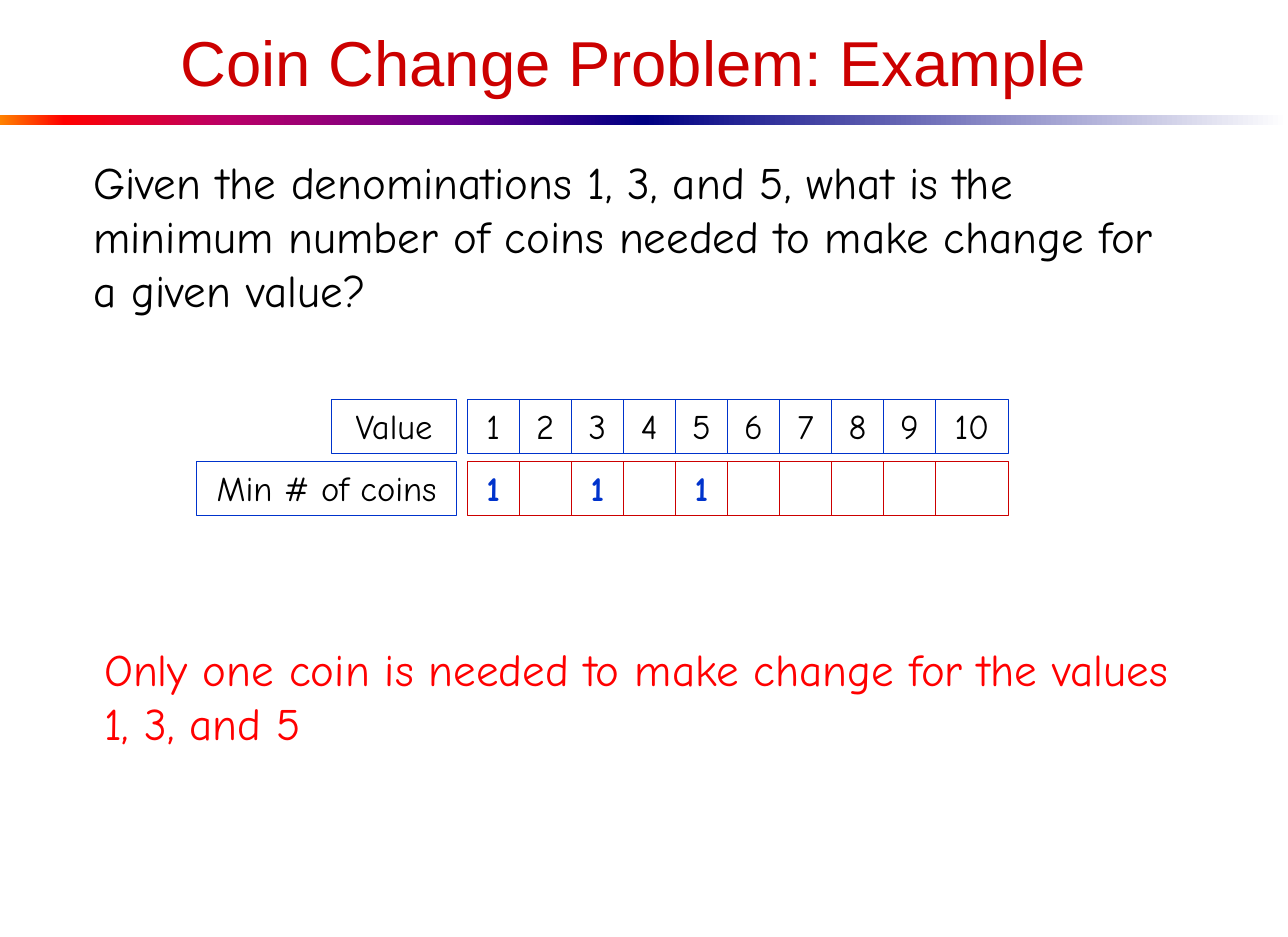
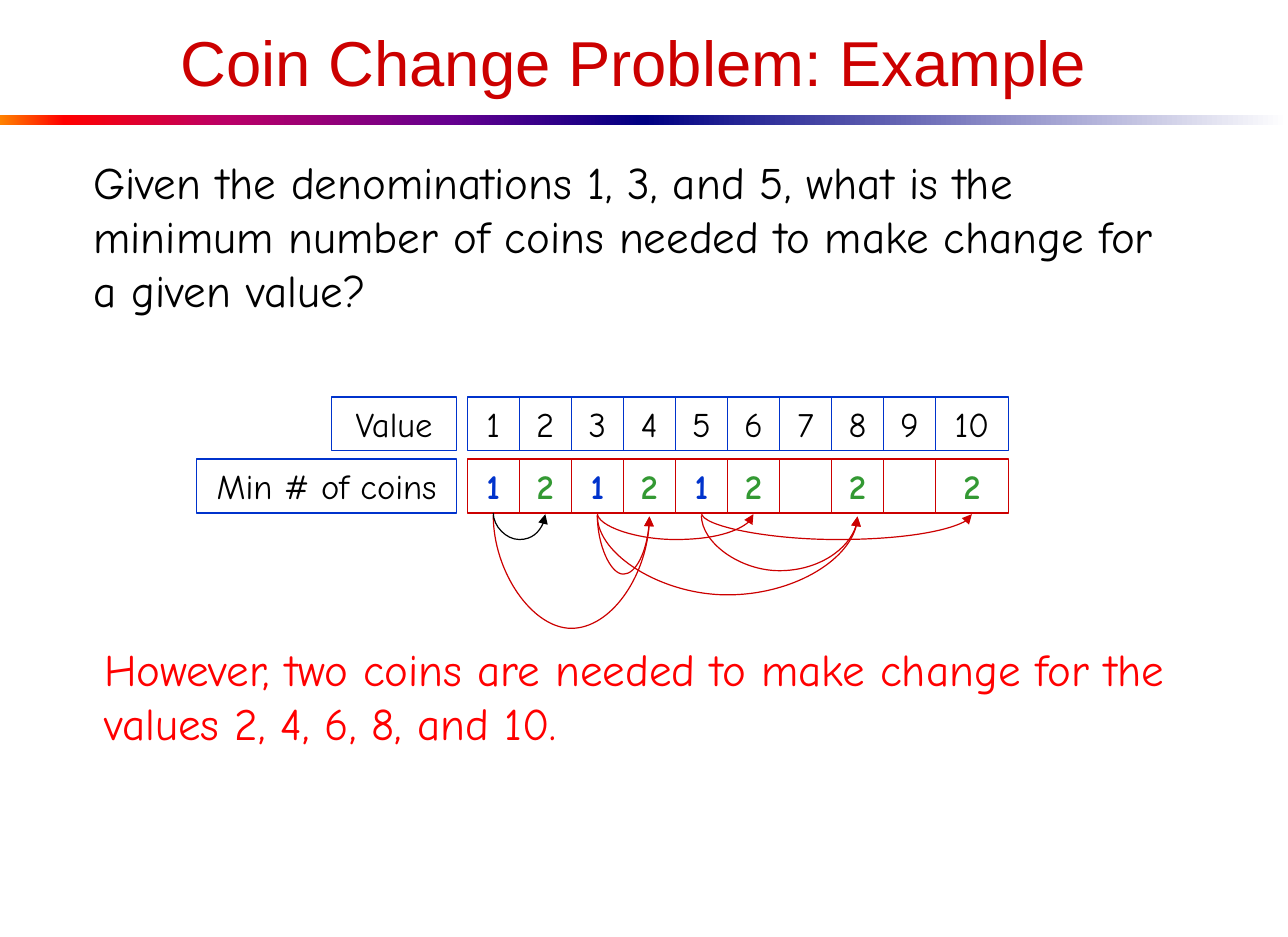
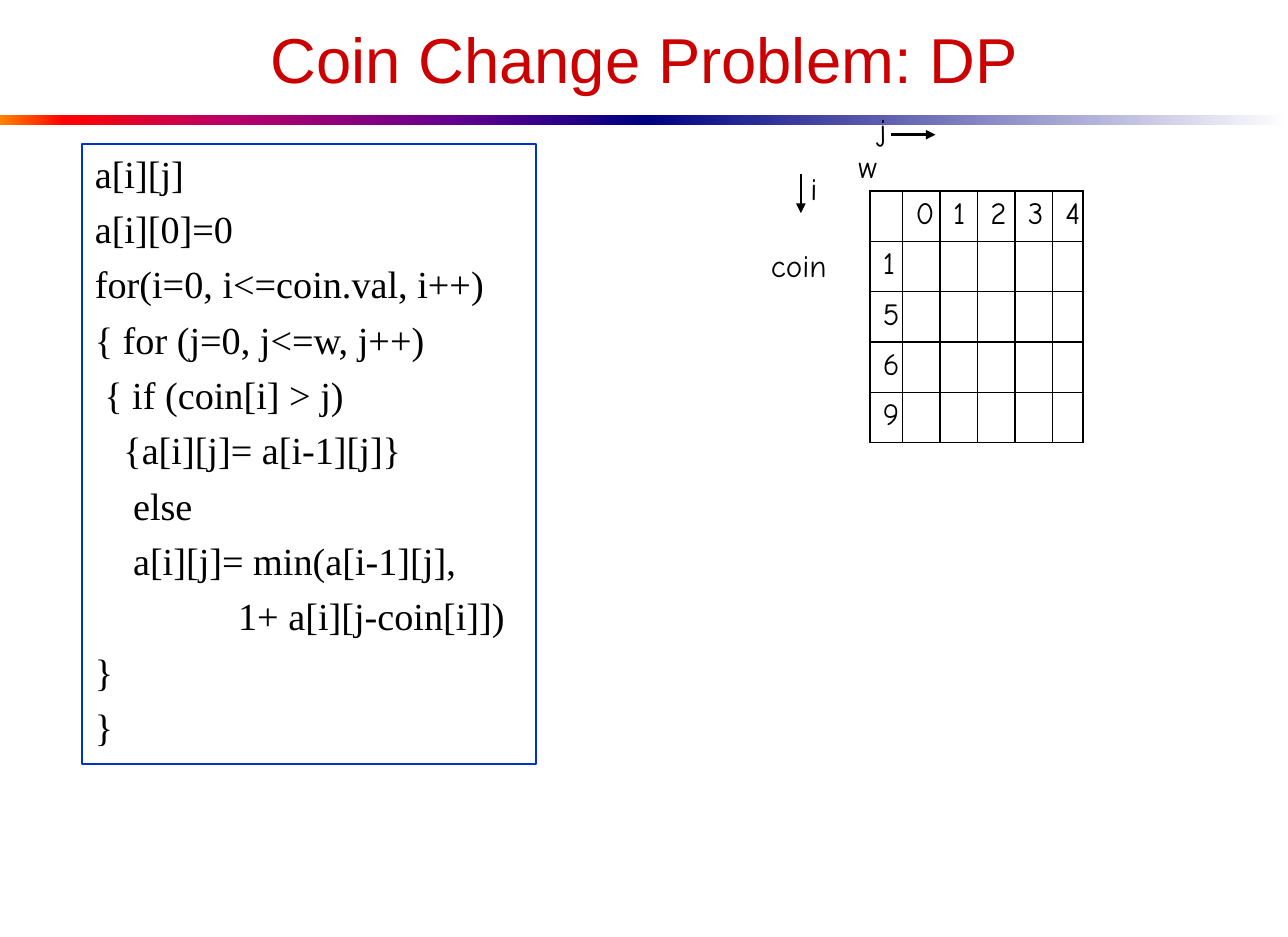
from lxml.etree import SubElement
from pptx import Presentation
from pptx.dml.color import RGBColor
from pptx.enum.shapes import MSO_CONNECTOR, MSO_SHAPE
from pptx.enum.text import MSO_ANCHOR, MSO_AUTO_SIZE, PP_ALIGN
from pptx.oxml.ns import qn
from pptx.util import Inches, Pt

BLACK, BLUE, GREEN = "000000", "0033CC", "339933"
DARK_RED, RED = "CC0000", "FF0000"
HAND_FONT, TITLE_FONT, CODE_FONT = "Comic Neue", "Arial", "Times New Roman"

BANDS = [
    (0, [(0, "FF8200"), (10, "FF0000"), (35, "BA0066"), (70, "66008F"), (100, "000082")]),
    (5.5, [(0, "000082"), (100, "FFFFFF")]),
]
QUESTION = ("Given the denominations 1, 3, and 5, what is the minimum number of coins "
            "needed to make change for a given value?")
ONE_COIN = {value: ("1", BLUE) for value in (1, 3, 5)}
TWO_COINS = {value: ("2", GREEN) for value in (2, 4, 6, 8, 10)}

# Grid of values 1 to 10: the first nine columns share one width.
GRID_LEFT, LABEL_RIGHT = 3.99, 3.9
DIGIT_WIDTH, TEN_WIDTH = 4 / 9, 0.62
CELL_HEIGHT, ROW_PITCH = 0.46, 0.53

# From value, to value, start height, depth, colour.
ARCS = [
    (1, 4, 4.4, 0.98, DARK_RED),
    (3, 4, 4.4, 0.51, DARK_RED),
    (3, 6, 4.38, 0.23, DARK_RED),
    (5, 8, 4.4, 0.48, DARK_RED),
    (3, 8, 4.4, 0.69, DARK_RED),
    (5, 10, 4.38, 0.23, DARK_RED),
    (1, 2, 4.38, 0.23, BLACK),
]
ARC_DROP = 0.01

CODE = """a[i][j]
a[i][0]=0
for(i=0, i<=coin.val, i++)
{ for (j=0, j<=w, j++)
 { if (coin[i] > j)
   {a[i][j]= a[i-1][j]}
    else
    a[i][j]= min(a[i-1][j],
               1+ a[i][j-coin[i]])
}
}"""
DP_COLUMNS = [0.28, 0.32, 0.32, 0.32, 0.32, 0.24]
DP_ROW_HEIGHT = 0.43
DP_ROWS = [["", "0", "1", "2", "3", "4"]] + [[coin] + [""] * 5 for coin in "1569"]


def rgb(color):
    return RGBColor.from_string(color)


def write_text(frame, text, size=21.3, font=HAND_FONT, color=BLACK, bold=False,
               align=PP_ALIGN.LEFT, anchor=MSO_ANCHOR.TOP, space_before=0, margin=0.1):
    """Fill a text frame with one paragraph per line of text."""
    frame.word_wrap = True
    frame.auto_size = MSO_AUTO_SIZE.NONE
    frame.vertical_anchor = anchor
    frame.margin_left = frame.margin_right = Inches(margin)
    frame.margin_top = frame.margin_bottom = Inches(0.05)
    for index, line in enumerate(text.split("\n")):
        paragraph = frame.add_paragraph() if index else frame.paragraphs[0]
        paragraph.alignment = align
        if index:
            paragraph.space_before = Pt(space_before)
        run = paragraph.add_run()
        run.text = line
        run.font.size = Pt(size)
        run.font.name = font
        run.font.bold = bold
        run.font.color.rgb = rgb(color)


def add_text(slide, left, top, width, height, text, **style):
    box = slide.shapes.add_textbox(Inches(left), Inches(top), Inches(width), Inches(height))
    write_text(box.text_frame, text, **style)
    return box


def add_cell(slide, left, top, width, text="", border=BLUE, **style):
    cell = slide.shapes.add_shape(MSO_SHAPE.RECTANGLE, Inches(left), Inches(top),
                                  Inches(width), Inches(CELL_HEIGHT))
    cell.shadow.inherit = False
    cell.fill.background()
    cell.line.color.rgb = rgb(border)
    cell.line.width = Pt(0.75)
    if text:
        write_text(cell.text_frame, text, align=PP_ALIGN.CENTER, **style)


def add_arrow(slide, kind, start, end, color=BLACK, width=1.5):
    arrow = slide.shapes.add_connector(kind, *(Inches(value) for value in start + end))
    arrow.line.color.rgb = rgb(color)
    arrow.line.width = Pt(width)
    properties = arrow.element.spPr
    SubElement(properties.find(qn("a:ln")), qn("a:tailEnd"), type="triangle")
    SubElement(properties, qn("a:effectLst"))
    return arrow


def value_left(value):
    return GRID_LEFT + (value - 1) * DIGIT_WIDTH


def value_center(value):
    return value_left(value) + (TEN_WIDTH if value == 10 else DIGIT_WIDTH) / 2


def add_arc(slide, source, target, top, depth, color):
    """Hang a curved arrow below the grid, from one value to a larger one."""
    left, right = value_center(source), value_center(target)
    span, middle = right - left, (left + right) / 2
    arc = add_arrow(slide, MSO_CONNECTOR.CURVE, (left, top), (right, top + ARC_DROP), color, 0.75)
    # The connector lies on its side: its width is the drop, its height the span.
    arc.left, arc.top = Inches(middle - ARC_DROP / 2), Inches(top + ARC_DROP / 2 - span / 2)
    arc.width, arc.height = Inches(ARC_DROP), Inches(span)
    properties = arc.element.spPr
    frame = properties.find(qn("a:xfrm"))
    frame.set("rot", "16200000")
    frame.set("flipH", "1")
    adjustments = properties.find(qn("a:prstGeom")).get_or_add_avLst()
    SubElement(adjustments, qn("a:gd"), name="adj1",
               fmla=f"val {round(depth / ARC_DROP * 100000)}")


def add_bands(slide):
    """Put the two gradient bands on the slide's layout, behind its placeholders."""
    for left, stops in BANDS:
        band = slide.shapes.add_shape(MSO_SHAPE.RECTANGLE, Inches(left), Inches(0.98),
                                      Inches(5.5), Inches(0.09))
        band.shadow.inherit = False
        band.line.fill.background()
        band.fill.gradient()
        band.fill.gradient_angle = 0
        stop_list = band.element.spPr.find(qn("a:gradFill")).find(qn("a:gsLst"))
        for stop in list(stop_list):
            stop_list.remove(stop)
        for position, color in stops:
            stop = SubElement(stop_list, qn("a:gs"), pos=str(position * 1000))
            SubElement(stop, qn("a:srgbClr"), val=color)
        slide.slide_layout.shapes.element.insert(2, band.element)


def add_titled_slide(deck, text, top=0.05, width=9.42, height=0.95):
    slide = deck.slides.add_slide(deck.slide_layouts[5])
    title = slide.shapes.title
    title.left, title.top = Inches(0.7), Inches(top)
    title.width, title.height = Inches(width), Inches(height)
    write_text(title.text_frame, text, size=39, font=TITLE_FONT, color=DARK_RED,
               align=PP_ALIGN.CENTER, anchor=MSO_ANCHOR.MIDDLE, margin=0.11)
    return slide


def add_coin_grid(slide, top, answers):
    """Draw the row of values and, under it, the row of known coin counts."""
    counts_top = top + ROW_PITCH
    for value in range(1, 11):
        left = value_left(value)
        width = TEN_WIDTH if value == 10 else DIGIT_WIDTH
        count, color = answers.get(value, ("", BLACK))
        add_cell(slide, left, top, width, str(value))
        add_cell(slide, left, counts_top, width, count, border=DARK_RED, color=color, bold=True)
    for label, label_top, width in (("Value", top, 1.07), ("Min # of coins", counts_top, 2.22)):
        add_cell(slide, LABEL_RIGHT - width, label_top, width, label)


def add_example_slide(deck, grid_top, answers, remark):
    slide = add_titled_slide(deck, "Coin Change Problem: Example")
    add_text(slide, 0.7, 1.27, 9.42, 1.5, QUESTION, size=27.7)
    add_coin_grid(slide, grid_top, answers)
    add_text(slide, 0.79, 5.43, 9.42, 1.03, remark, size=27.7, color=RED)
    return slide


def set_borders(cell):
    properties = cell._tc.get_or_add_tcPr()
    for index, side in enumerate(("a:lnL", "a:lnR", "a:lnT", "a:lnB")):
        border = SubElement(properties, qn(side), w=str(Pt(1)))
        SubElement(SubElement(border, qn("a:solidFill")), qn("a:srgbClr"), val=BLACK)
        properties.insert(index, border)


def add_dp_table(slide):
    table = slide.shapes.add_table(
        len(DP_ROWS), len(DP_COLUMNS), Inches(7.43), Inches(1.63),
        Inches(sum(DP_COLUMNS)), Inches(DP_ROW_HEIGHT * len(DP_ROWS))).table
    table.first_row = table.horz_banding = False
    for column, width in zip(table.columns, DP_COLUMNS):
        column.width = Inches(width)
    for row, texts in zip(table.rows, DP_ROWS):
        row.height = Inches(DP_ROW_HEIGHT)
        for cell, text in zip(row.cells, texts):
            cell.fill.background()
            set_borders(cell)
            cell.margin_left = cell.margin_right = Inches(0.11)
            if text:
                paragraph = cell.text_frame.paragraphs[0]
                paragraph.alignment = PP_ALIGN.RIGHT
                run = paragraph.add_run()
                run.text = text
                run.font.size = Pt(19)
                run.font.name = HAND_FONT
                run.font.color.rgb = rgb(BLACK)


def add_dp_slide(deck):
    slide = add_titled_slide(deck, "Coin Change Problem: DP", top=0.23, width=9.6, height=0.54)
    code = add_text(slide, 0.7, 1.23, 3.88, 5.29, CODE, size=23.5, font=CODE_FONT,
                    space_before=5.8, margin=0.11)
    code.line.color.rgb = rgb(BLUE)
    code.line.width = Pt(1.25)
    add_dp_table(slide)
    for label, right, top in (("j", 7.67, 0.89), ("w", 7.59, 1.21),
                              ("i", 7.08, 1.4), ("coin", 7.16, 2.05)):
        add_text(slide, right - 0.8, top, 0.8, 0.43, label, size=19.2, align=PP_ALIGN.RIGHT)
    add_arrow(slide, MSO_CONNECTOR.STRAIGHT, (7.61, 1.15), (7.99, 1.15))
    add_arrow(slide, MSO_CONNECTOR.STRAIGHT, (6.84, 1.49), (6.84, 1.82))


def main():
    deck = Presentation()
    deck.slide_width, deck.slide_height = Inches(11), Inches(8)
    one_coin_slide = add_example_slide(
        deck, 3.41, ONE_COIN,
        "Only one coin is needed to make change for the values 1, 3, and 5")
    add_bands(one_coin_slide)
    two_coins_slide = add_example_slide(
        deck, 3.39, {**ONE_COIN, **TWO_COINS},
        "However, two coins are needed to make change for the values 2, 4, 6, 8, and 10.")
    for arc in ARCS:
        add_arc(two_coins_slide, *arc)
    add_dp_slide(deck)
    deck.save("out.pptx")


if __name__ == "__main__":
    main()
